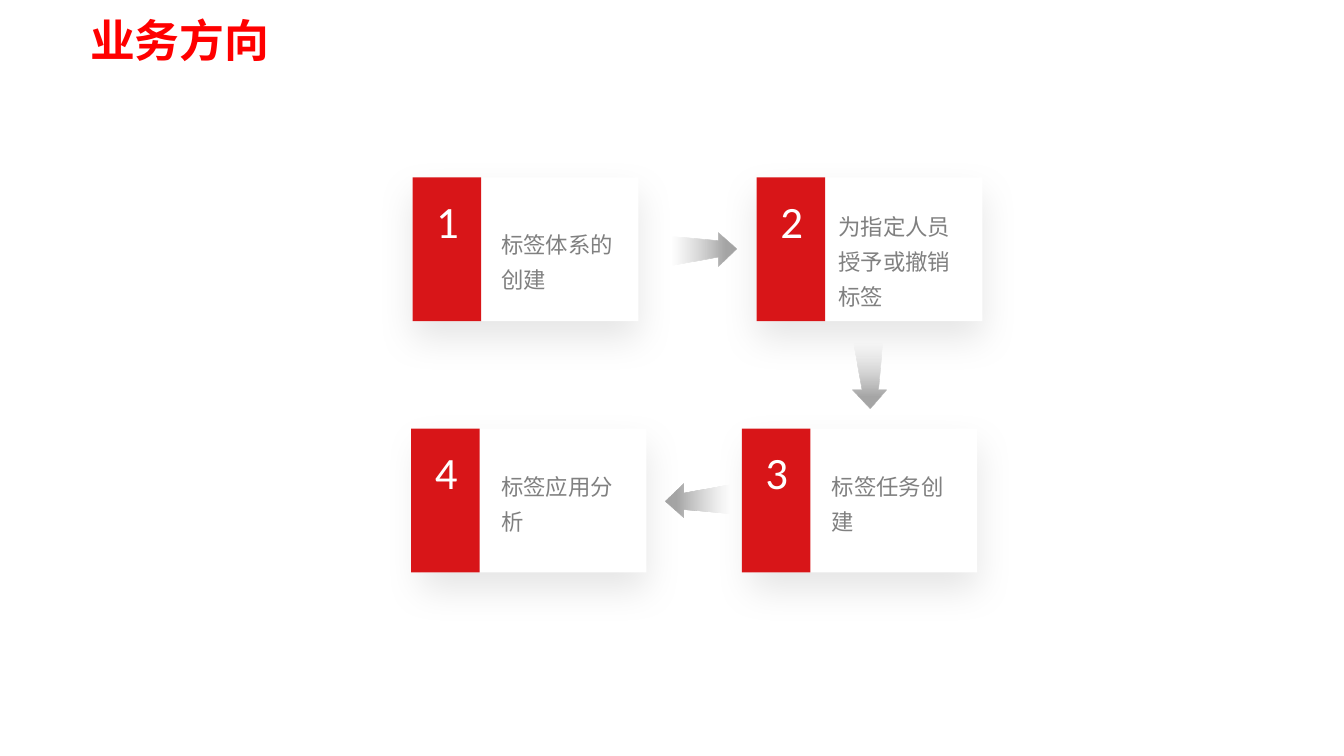
from dataclasses import dataclass

from lxml import etree
from pptx import Presentation
from pptx.dml.color import RGBColor
from pptx.enum.shapes import MSO_SHAPE
from pptx.enum.text import MSO_ANCHOR, PP_ALIGN
from pptx.oxml import parse_xml
from pptx.oxml.ns import nsdecls, qn
from pptx.shapes.autoshape import Shape
from pptx.shapes.group import GroupShape
from pptx.slide import Slide
from pptx.util import Inches, Pt

RECTANGLE = MSO_SHAPE.RECTANGLE
MIDDLE = MSO_ANCHOR.MIDDLE
LEFT, CENTER = PP_ALIGN.LEFT, PP_ALIGN.CENTER

TITLE_FONT = "Noto Sans CJK SC"
BODY_FONT = "Calibri"
WHITE, RED, TITLE_RED, GRAY = "FFFFFF", "D81518", "FF0000", "808080"

SLIDE_WIDTH = 10
SLIDE_HEIGHT = SLIDE_WIDTH * 9 / 16
CARD_WIDTH, CARD_HEIGHT, BAND_WIDTH = 1.68, 1.07, 0.51
NUMBER_WIDTH, NUMBER_HEIGHT = 0.38, 0.5
ARROW_WIDTH, ARROW_HEIGHT = 0.48, 0.25
# Right-pointing arrow outline, in hundredths of an inch
ARROW_OUTLINE = [(0, 3), (34, 6), (34, 0), (48, 12), (34, 25), (34, 18), (0, 24)]


@dataclass
class Card:
    number: str
    caption: str
    panel_left: float
    band_left: float
    top: float
    caption_left: float
    caption_top: float
    caption_width: float
    caption_height: float = 0.62


@dataclass
class Arrow:
    left: float
    top: float
    rotation: int


CARDS = [
    Card("1", "标签体系的创建", 3.07, 3.07, 1.32, 3.63, 1.61, 1.19),
    Card("2", "为指定人员授予或撤销标签", 5.63, 5.63, 1.32, 6.14, 1.48, 1.17, 0.89),
    Card("3", "标签任务创建", 5.59, 5.52, 3.19, 6.09, 3.41, 1.17),
    Card("4", "标签应用分析", 3.13, 3.06, 3.19, 3.63, 3.41, 1.17),
]
ARROWS = [Arrow(5, 1.73, 0), Arrow(6.23, 2.67, 90), Arrow(4.95, 3.6, 180)]


def color(value: str) -> RGBColor:
    return RGBColor.from_string(value)


def add_rectangle(group: GroupShape, left: float, top: float, width: float, fill: str) -> Shape:
    shape = group.shapes.add_shape(
        RECTANGLE, Inches(left), Inches(top), Inches(width), Inches(CARD_HEIGHT))
    shape.shadow.inherit = False
    shape.fill.solid()
    shape.fill.fore_color.rgb = color(fill)
    shape.line.fill.background()
    return shape


def add_soft_shadow(shape: Shape) -> None:
    effects = shape._element.spPr.find(qn("a:effectLst"))
    shadow = etree.SubElement(
        effects, qn("a:outerShdw"), blurRad=str(Pt(20)), dist=str(Pt(9)),
        dir="5400000", algn="t", rotWithShape="0")
    shade = etree.SubElement(shadow, qn("a:srgbClr"), val="000000")
    etree.SubElement(shade, qn("a:alpha"), val="10000")


def add_text(group: GroupShape, text: str, left: float, top: float, width: float,
             height: float, size: int, text_color: str,
             alignment: PP_ALIGN = LEFT, line_spacing: float = 1.0) -> None:
    box = group.shapes.add_textbox(Inches(left), Inches(top), Inches(width), Inches(height))
    box.text_frame.word_wrap = True
    box.text_frame.text = text
    paragraph = box.text_frame.paragraphs[0]
    paragraph.alignment = alignment
    paragraph.line_spacing = line_spacing
    font = paragraph.runs[0].font
    font.name = BODY_FONT
    font.size = Pt(size)
    font.color.rgb = color(text_color)


def add_card(slide: Slide, card: Card) -> None:
    group = slide.shapes.add_group_shape()
    panel = add_rectangle(group, card.panel_left, card.top, CARD_WIDTH, WHITE)
    add_soft_shadow(panel)
    add_rectangle(group, card.band_left, card.top, BAND_WIDTH, RED)
    add_text(group, card.caption, card.caption_left, card.caption_top,
             card.caption_width, card.caption_height, 12, GRAY, line_spacing=1.3)
    add_text(group, card.number, card.band_left + 0.07, card.top + 0.07,
             NUMBER_WIDTH, NUMBER_HEIGHT, 24, WHITE, CENTER)


def add_arrow(slide: Slide, arrow: Arrow) -> None:
    """Draw a block arrow that fades out towards its tail."""
    builder = slide.shapes.build_freeform(*ARROW_OUTLINE[0], scale=Inches(0.01))
    builder.add_line_segments(ARROW_OUTLINE[1:], close=True)
    shape = builder.convert_to_shape(Inches(arrow.left), Inches(arrow.top))
    shape.width, shape.height = Inches(ARROW_WIDTH), Inches(ARROW_HEIGHT)
    shape.rotation = arrow.rotation
    shape.shadow.inherit = False
    shape.line.fill.background()
    gradient = parse_xml(
        f'<a:gradFill {nsdecls("a")} rotWithShape="1"><a:gsLst>'
        '<a:gs pos="0"><a:srgbClr val="BFBFBF"><a:alpha val="0"/></a:srgbClr></a:gs>'
        '<a:gs pos="82000"><a:srgbClr val="A6A6A6"/></a:gs>'
        '</a:gsLst><a:lin ang="0" scaled="0"/></a:gradFill>')
    shape._element.spPr.find(qn("a:custGeom")).addnext(gradient)


def set_title(slide: Slide, text: str) -> None:
    title = slide.shapes.title
    title.left, title.top = Inches(0.57), Inches(0.02)
    title.width, title.height = Inches(9), Inches(0.55)
    title.text_frame.text = text
    title.text_frame.vertical_anchor = MIDDLE
    paragraph = title.text_frame.paragraphs[0]
    paragraph.alignment = LEFT
    font = paragraph.runs[0].font
    font.name = TITLE_FONT
    font.size = Pt(24)
    font.bold = True
    font.color.rgb = color(TITLE_RED)
    properties = paragraph.runs[0]._r.get_or_add_rPr()
    etree.SubElement(properties, qn("a:ea"), typeface=TITLE_FONT)


def main() -> None:
    presentation = Presentation()
    presentation.slide_width = Inches(SLIDE_WIDTH)
    presentation.slide_height = Inches(SLIDE_HEIGHT)
    slide = presentation.slides.add_slide(presentation.slide_layouts[5])
    set_title(slide, "业务方向")
    for arrow in ARROWS:
        add_arrow(slide, arrow)
    for card in CARDS:
        add_card(slide, card)
    presentation.save("out.pptx")


if __name__ == "__main__":
    main()
